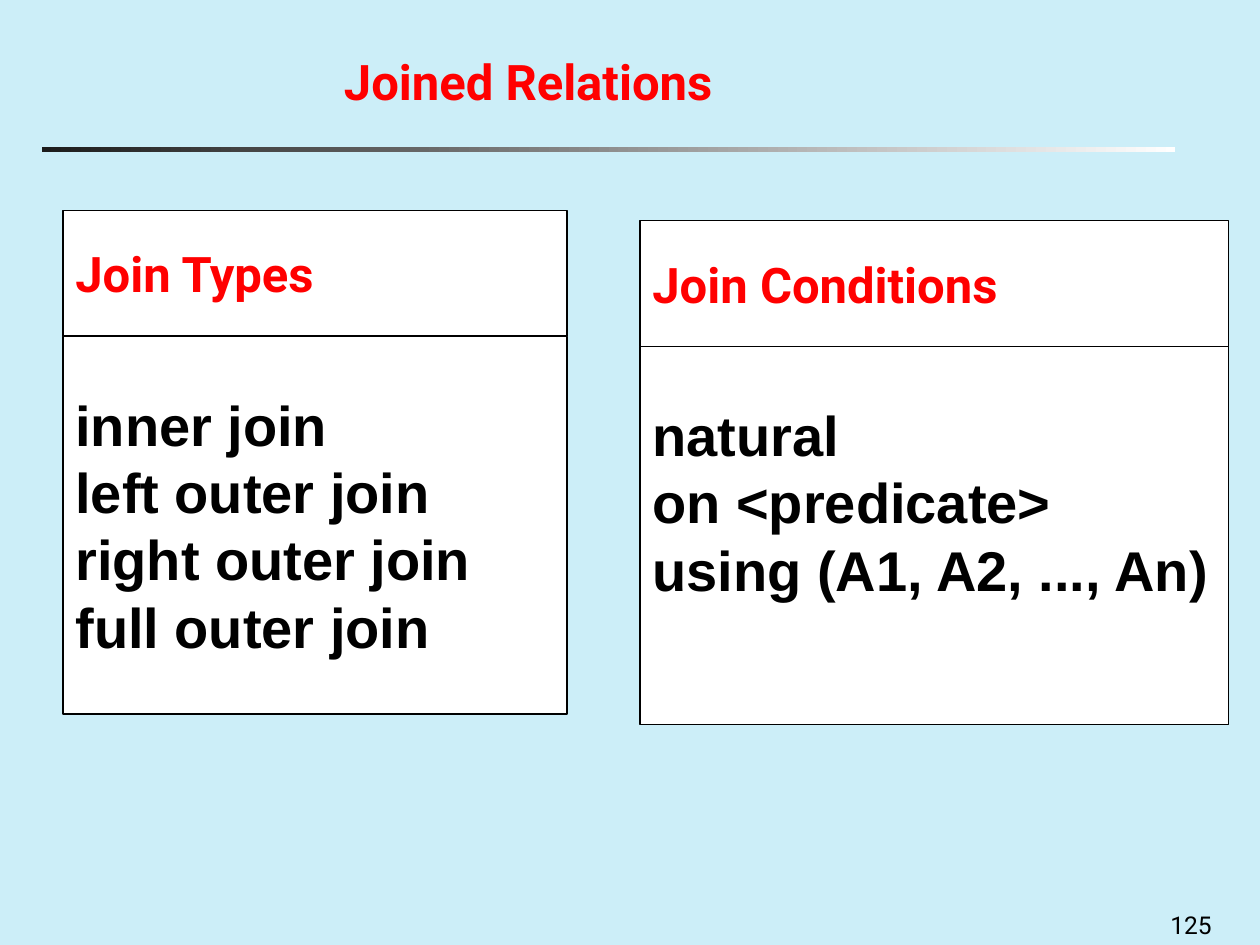
from pptx import Presentation
from pptx.dml.color import RGBColor
from pptx.enum import shapes, text
from pptx.util import Inches, Pt

COLORS = {
    "background": "CCEEF8",
    "heading": "FF0000",
    "body": "000000",
    "panel": "FFFFFF",
    "rule_start": "1C1C1C",
    "rule_end": "FFFFFF",
}
HEADING = {"name": "Roboto", "size": Pt(28), "bold": True}
LISTING = {"name": "Arial", "size": Pt(32), "bold": True}
NUMBER = {"name": "Roboto", "size": Pt(14), "bold": False}

HEADER_HEIGHT, LIST_HEIGHT = 1, 3
PANELS = [
    (0.5, 1.67, 4, "Join Types",
     ["inner join", "left outer join", "right outer join", "full outer join"]),
    (5.08, 1.75, 4.67, "Join Conditions",
     ["natural", "on <predicate>", "using (A1, A2, ..., An)"]),
]


def rgb(role):
    return RGBColor.from_string(COLORS[role])


def write(frame, lines, style, role, anchor=text.MSO_ANCHOR.TOP, top=0.05):
    layout = {
        "word_wrap": True,
        "vertical_anchor": anchor,
        "margin_left": Inches(0.1),
        "margin_right": Inches(0.1),
        "margin_top": Inches(top),
        "margin_bottom": Inches(0.05),
    }
    for name, value in layout.items():
        setattr(frame, name, value)
    frame.text = "\n".join(lines)
    for paragraph in frame.paragraphs:
        paragraph.alignment = text.PP_ALIGN.LEFT
        font = paragraph.runs[0].font
        for name, value in style.items():
            setattr(font, name, value)
        font.color.rgb = rgb(role)


def add_title(slide, caption):
    title = slide.shapes.title
    place = {"left": 2.63, "top": 0.36, "width": 3.33, "height": 0.57}
    for name, value in place.items():
        setattr(title, name, Inches(value))
    write(title.text_frame, [caption], HEADING, "heading")


def add_rule(slide):
    rule = slide.shapes.add_shape(
        shapes.MSO_SHAPE.RECTANGLE,
        Inches(0.33), Inches(1.17), Inches(9), Inches(0.04))
    rule.shadow.inherit = False
    rule.line.fill.background()
    rule.fill.gradient()
    rule.fill.gradient_angle = 0
    ends = [(0, "rule_start"), (1, "rule_end")]
    for stop, (position, role) in zip(rule.fill.gradient_stops, ends):
        stop.position = position
        stop.color.rgb = rgb(role)


def add_box(group, left, top, width, height):
    box = group.shapes.add_shape(
        shapes.MSO_SHAPE.RECTANGLE,
        Inches(left), Inches(top), Inches(width), Inches(height))
    box.shadow.inherit = False
    box.fill.solid()
    box.fill.fore_color.rgb = rgb("panel")
    box.line.color.rgb = rgb("body")
    box.line.width = Pt(1)
    return box.text_frame


def add_panel(slide, left, top, width, heading, items):
    panel = slide.shapes.add_group_shape()
    header = add_box(panel, left, top, width, HEADER_HEIGHT)
    write(header, [heading], HEADING, "heading", text.MSO_ANCHOR.MIDDLE)
    listing = add_box(panel, left, top + HEADER_HEIGHT, width, LIST_HEIGHT)
    write(listing, items, LISTING, "body", top=0.43)


def add_page_number(slide, number):
    box = slide.shapes.add_textbox(
        Inches(9.19), Inches(7.17), Inches(0.8), Inches(0.33))
    write(box.text_frame, [number], NUMBER, "body")


def main():
    deck = Presentation()
    deck.slide_width, deck.slide_height = Inches(10), Inches(7.5)
    slide = deck.slides.add_slide(deck.slide_layouts[5])
    slide.background.fill.solid()
    slide.background.fill.fore_color.rgb = rgb("background")

    # Heading and the rule below it
    add_title(slide, "Joined Relations")
    add_rule(slide)

    # Join types and join conditions
    for panel in PANELS:
        add_panel(slide, *panel)

    # Footer
    add_page_number(slide, "125")
    deck.save("out.pptx")


if __name__ == "__main__":
    main()
